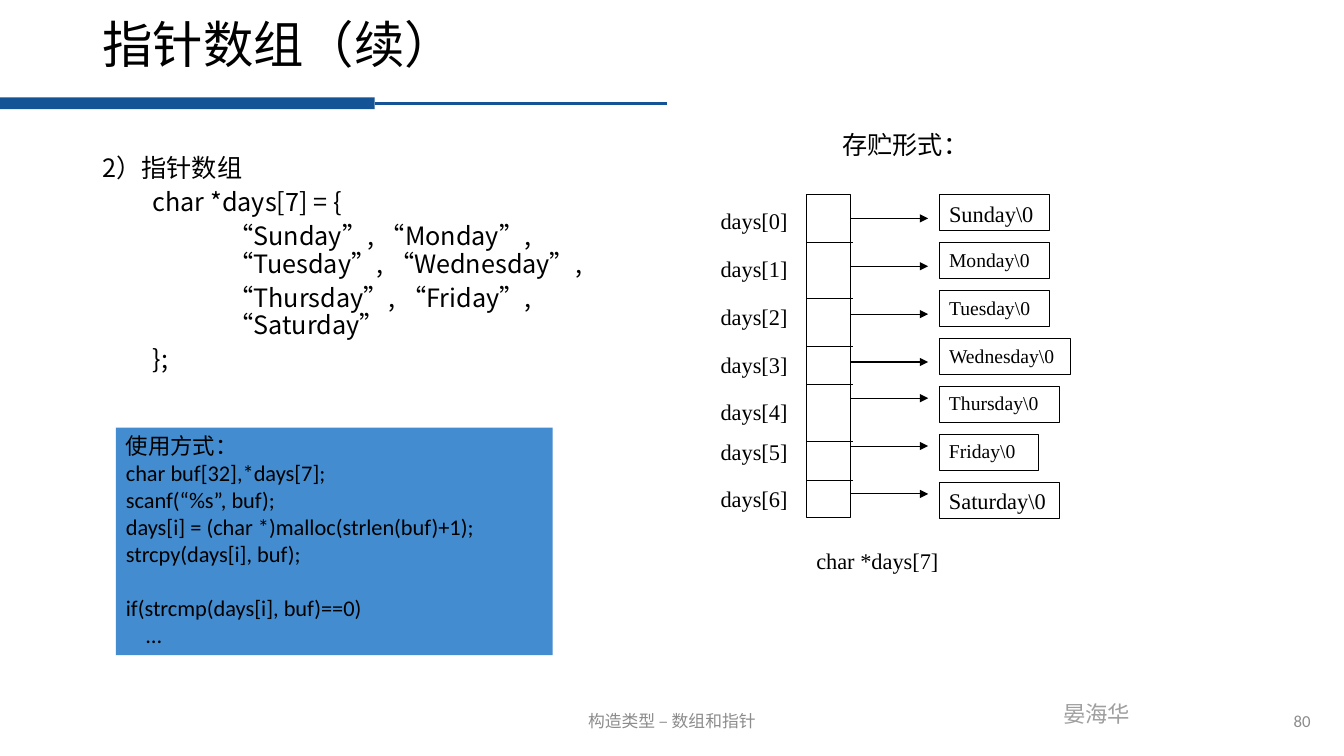
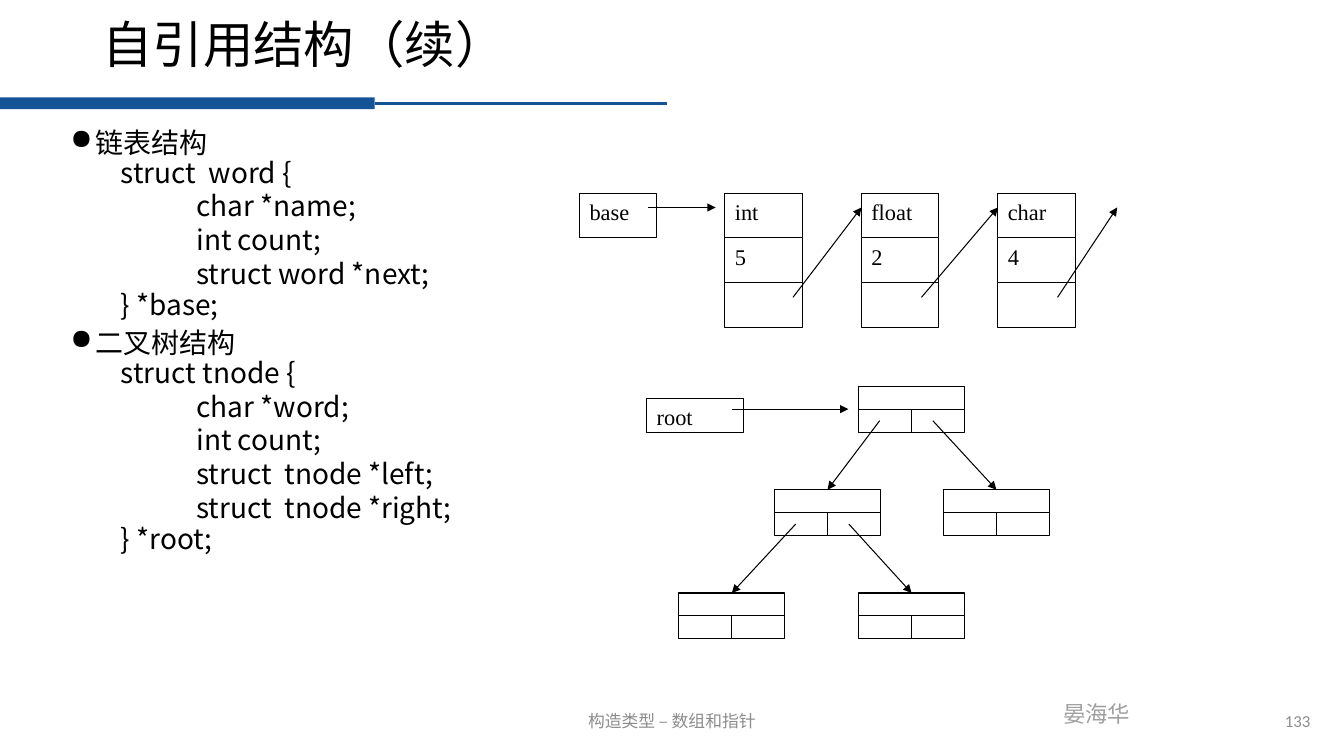
"""Build two lecture slides on C pointer arrays and self-referential structures."""
from dataclasses import dataclass
from typing import Any, NamedTuple, Optional

import lxml.etree
import pptx
import pptx.dml.color
import pptx.enum.shapes
import pptx.enum.text
import pptx.oxml.ns
import pptx.util

RGBColor = pptx.dml.color.RGBColor
BLACK = RGBColor(0x00, 0x00, 0x00)
WHITE = RGBColor(0xFF, 0xFF, 0xFF)
NAVY = RGBColor(0x14, 0x53, 0x96)
SKY = RGBColor(0x43, 0x8C, 0xCF)
FOOTER_GRAY = RGBColor(0x8C, 0x8C, 0x8C)
AUTHOR_GRAY = RGBColor(0x9F, 0x9F, 0x9F)

ALIGN = pptx.enum.text.PP_ALIGN
ANCHOR = pptx.enum.text.MSO_ANCHOR
RECTANGLE = pptx.enum.shapes.MSO_SHAPE.RECTANGLE
STRAIGHT = pptx.enum.shapes.MSO_CONNECTOR.STRAIGHT
TOP, LEFT, BOTTOM, RIGHT = range(4)

CJK, SANS, SERIF = "Noto Sans CJK SC", "Calibri", "Times New Roman"
COLUMNS, ROWS = 160, 90
CELL = pptx.util.Inches(1 / 12)


class Box(NamedTuple):
    left: float
    top: float
    width: float
    height: float


class Point(NamedTuple):
    column: float
    row: float


class Level(NamedTuple):
    margin: float
    indent: float
    space_before: float


@dataclass(frozen=True)
class Style:
    size: float
    font: str = SERIF
    color: RGBColor = BLACK
    align: ALIGN = ALIGN.LEFT
    anchor: ANCHOR = ANCHOR.TOP
    wrap: bool = True


@dataclass(frozen=True)
class Line:
    text: str
    level: Optional[int] = None
    spacing: float = 1.0
    bullet: str = ""
    margin: float = 0
    space_before: float = 0


@dataclass(frozen=True)
class DayRow:
    word: str
    width: float
    size: float
    label_top: float
    arrow_row: float
    divider_row: Optional[float] = None


@dataclass(frozen=True)
class TreeNode:
    left: float
    depth: int
    children: tuple[int, ...] = ()


LEVELS = (Level(3, -3, 10), Level(9, -3, 5), Level(15, 0, 5))
TITLE = Style(36, CJK, anchor=ANCHOR.MIDDLE)
FOOTER = Style(12, SANS, FOOTER_GRAY, ALIGN.CENTER, ANCHOR.MIDDLE)
PAGE = Style(12, SANS, FOOTER_GRAY, ALIGN.RIGHT, ANCHOR.MIDDLE)
AUTHOR = Style(16, SANS, AUTHOR_GRAY, wrap=False)
HEADING = Style(18, SANS, wrap=False)
USAGE = Style(16, SANS)
LABEL = Style(16, align=ALIGN.JUSTIFY)
SMALL_LABEL = Style(14, align=ALIGN.JUSTIFY)

DAYS = (
    DayRow("Sunday", 13.1, 16, 24.1, 26, 28.9),
    DayRow("Monday", 13.1, 14, 29.8, 31.7, 35.5),
    DayRow("Tuesday", 13.1, 14, 35.5, 37.4, 41.2),
    DayRow("Wednesday", 15.7, 14, 41.2, 43.1, 45.8),
    DayRow("Thursday", 14.4, 14, 46.8, 47.4, 52.6),
    DayRow("Friday", 11.8, 14, 51.6, 53.1, 57.2),
    DayRow("Saturday", 14.4, 16, 57.2, 58.8),
)
POINTER_LINES = (
    Line("2）指针数组", 0),
    Line("char *days[7] = {", 1, 0.9),
    Line("“Sunday”, “Monday”, “Tuesday”, “Wednesday”,", 2, 0.9),
    Line("“Thursday”, “Friday”, “Saturday”", 2, 0.9),
    Line("};", 1, 0.9),
)
USAGE_LINES = (
    Line("使用方式："),
    Line("char buf[32],*days[7];"),
    Line("scanf(“%s”, buf);"),
    Line("days[i] = (char *)malloc(strlen(buf)+1);"),
    Line("strcpy(days[i], buf);"),
    Line("if(strcmp(days[i], buf)==0)", space_before=19.5),
    Line("…", margin=2.4),
)
STRUCTURES = (
    ("链表结构", "struct  word {", ("char *name;", "int count;", "struct word *next;"), "} *base;"),
    ("二叉树结构", "struct tnode {",
     ("char *word;", "int count;", "struct  tnode *left;", "struct  tnode *right;"), "} *root;"),
)
WORDS = (("int", "5"), ("float", "2"), ("char", "4"))
LINK_STARTS = (94.4, 109.7, 125.9)
TREE = (
    TreeNode(102.2, 0, (1, 2)),
    TreeNode(92.2, 1, (3, 4)),
    TreeNode(112.3, 1),
    TreeNode(80.8, 2),
    TreeNode(102.2, 2),
)


def grid(*values: float) -> list[int]:
    return [round(value * CELL) for value in values]


def set_attributes(target: Any, values: dict[str, Any]) -> None:
    for name, value in values.items():
        setattr(target, name, value)


def add_child(parent: Any, tag: str, **attributes: str) -> None:
    lxml.etree.SubElement(parent, pptx.oxml.ns.qn(tag), **attributes)


def write_line(paragraph: Any, line: Line, style: Style) -> None:
    level = Level(line.margin, 0, line.space_before) if line.level is None else LEVELS[line.level]
    set_attributes(paragraph, {
        "level": line.level or 0,
        "alignment": style.align,
        "line_spacing": line.spacing,
        "space_before": pptx.util.Pt(level.space_before),
    })
    properties = paragraph._p.get_or_add_pPr()
    margin, indent = grid(level.margin, level.indent)
    properties.set("marL", str(margin))
    properties.set("indent", str(indent))
    if line.bullet:
        add_child(properties, "a:buChar", char=line.bullet)
    run = paragraph.add_run()
    run.text = line.text
    set_attributes(run.font, {"size": pptx.util.Pt(style.size), "name": style.font})
    run.font.color.rgb = style.color
    add_child(run._r.get_or_add_rPr(), "a:ea", typeface=CJK)


def write_text(shape: Any, lines: tuple[Line, ...], style: Style) -> None:
    frame = shape.text_frame
    set_attributes(frame, {"word_wrap": style.wrap, "vertical_anchor": style.anchor})
    for index, line in enumerate(lines):
        write_line(frame.add_paragraph() if index else frame.paragraphs[0], line, style)


def add_text(slide: Any, box: Box, style: Style, *lines: Line) -> None:
    write_text(slide.shapes.add_textbox(*grid(*box)), lines, style)


def add_rectangle(slide: Any, box: Box, *lines: Line, style: Style = LABEL,
                  fill: RGBColor = WHITE, outlined: bool = True) -> Any:
    shape = slide.shapes.add_shape(RECTANGLE, *grid(*box))
    shape.shadow.inherit = False
    shape.fill.solid()
    shape.fill.fore_color.rgb = fill
    if outlined:
        shape.line.color.rgb = BLACK
        shape.line.width = pptx.util.Pt(0.75)
    else:
        shape.line.fill.background()
    if lines:
        write_text(shape, lines, style)
    return shape


def add_line(slide: Any, start: Point, end: Point, arrow: bool = False,
             color: RGBColor = BLACK, width: float = 0.75) -> Any:
    connector = slide.shapes.add_connector(STRAIGHT, *grid(*start, *end))
    connector.line.color.rgb = color
    connector.line.width = pptx.util.Pt(width)
    if arrow:
        add_child(connector.line._get_or_add_ln(), "a:tailEnd", type="triangle")
    add_child(connector._element.spPr, "a:effectLst")
    return connector


def add_base_slide(presentation: Any, title: str, page: int) -> Any:
    slide = presentation.slides.add_slide(presentation.slide_layouts[6])
    add_text(slide, Box(125.4, 82.8, 10.6, 4.4), AUTHOR, Line("晏海华"))
    band = add_rectangle(slide, Box(0, 11.6, 44.6, 1.4), fill=NAVY, outlined=False)
    rule = add_line(slide, Point(44.6, 12.3), Point(79.4, 12.3), color=NAVY, width=2.25)
    rule.begin_connect(band, RIGHT)
    add_text(slide, Box(11, 2, 138, 7.2), TITLE, Line(title, spacing=0.9))
    add_text(slide, Box(53, 83.4, 54, 4.8), FOOTER, Line("构造类型 – 数组和指针"))
    add_text(slide, Box(121.2, 83.4, 36, 4.8), PAGE, Line(str(page)))
    return slide


def draw_day_array(slide: Any) -> None:
    array = Box(96, 23.2, 5.3, 38.4)
    pitch, height = 5.7, 4.3
    right = array.left + array.width
    add_rectangle(slide, array)
    for index, day in enumerate(DAYS):
        add_rectangle(slide, Box(111.8, array.top + index * pitch, day.width, height),
                      Line(day.word + "\\0"), style=LABEL if day.size == 16 else SMALL_LABEL)
        add_rectangle(slide, Box(84.6, day.label_top, 10.4, height),
                      Line(f"days[{index}]"), outlined=False)
        add_line(slide, Point(right, day.arrow_row), Point(110.5, day.arrow_row), arrow=True)
        if day.divider_row is not None:
            add_line(slide, Point(array.left, day.divider_row),
                     Point(right + 0.3, day.divider_row))
    add_rectangle(slide, Box(array.left, 64.6, 22.3, 5.6), Line("char *days[7]"), outlined=False)
    add_text(slide, Box(93.1, 14.8, 23.8, 4.8), HEADING, Line("存贮形式：", margin=6))


def draw_linked_list(slide: Any) -> None:
    first, pitch, top, width, row_height = 86.3, 16.25, 23, 9.2, 5.33
    link_row, head_row = 35.4, 24.7
    add_rectangle(slide, Box(69, top, width, row_height), Line("base"))
    for index, cells in enumerate(WORDS):
        left = first + index * pitch
        add_rectangle(slide, Box(left, top, width, 3 * row_height))
        for row, text in enumerate(cells):
            cell = Box(left, top + row * row_height, width, row_height)
            add_text(slide, cell, LABEL, Line(text))
            bottom = cell.top + row_height
            add_line(slide, Point(left, bottom), Point(left + width, bottom))
    add_line(slide, Point(77.2, head_row), Point(85.2, head_row), arrow=True)
    for start, end in zip(LINK_STARTS, (first + pitch, first + 2 * pitch, 133)):
        add_line(slide, Point(start, link_row), Point(end, head_row), arrow=True)


def draw_tree(slide: Any) -> None:
    top, pitch, width, height = 46, 12.3, 12.65, 5.45
    add_rectangle(slide, Box(77, 47.4, 11.5, 4.1), Line("root"))
    boxes = [Box(node.left, top + node.depth * pitch, width, height) for node in TREE]
    shapes = [add_rectangle(slide, box) for box in boxes]
    for box, shape in zip(boxes, shapes):
        center = Point(box.left + width / 2, box.top + height / 2)
        divider = add_line(slide, Point(box.left, center.row),
                           Point(box.left + width, center.row))
        divider.begin_connect(shape, LEFT)
        divider.end_connect(shape, RIGHT)
        split = add_line(slide, center, Point(center.column, box.top + height))
        split.end_connect(shape, BOTTOM)
    for node, box in zip(TREE, boxes):
        for share, child in zip((0.2, 0.7), node.children):
            start = Point(box.left + share * width, box.top + 0.75 * height)
            end = Point(boxes[child].left + width / 2, boxes[child].top)
            add_line(slide, start, end, arrow=True).end_connect(shapes[child], TOP)
    add_line(slide, Point(87.1, 48.7), Point(101, 48.7), arrow=True)


def build_pointer_slide(presentation: Any) -> None:
    slide = add_base_slide(presentation, "指针数组（续）", 80)
    add_text(slide, Box(11, 17.6, 64.2, 30.7), Style(18, CJK), *POINTER_LINES)
    draw_day_array(slide)
    add_rectangle(slide, Box(13.8, 50.9, 52, 27.1), *USAGE_LINES,
                  style=USAGE, fill=SKY, outlined=False)


def build_structure_slide(presentation: Any) -> None:
    slide = add_base_slide(presentation, "自引用结构（续）", 133)
    lines: list[Line] = []
    for name, opening, members, closing in STRUCTURES:
        lines += [Line(name, 0, 0.7, "●"), Line(opening, 1, 0.7)]
        lines += [Line(member, 2, 0.8) for member in members]
        lines.append(Line(closing, 1, 0.7))
    add_text(slide, Box(7.2, 15.4, 138, 57.1), Style(20, CJK), *lines)
    draw_linked_list(slide)
    draw_tree(slide)


def main() -> None:
    presentation = pptx.Presentation()
    set_attributes(presentation, {"slide_width": COLUMNS * CELL, "slide_height": ROWS * CELL})
    build_pointer_slide(presentation)
    build_structure_slide(presentation)
    presentation.save("out.pptx")


if __name__ == "__main__":
    main()
